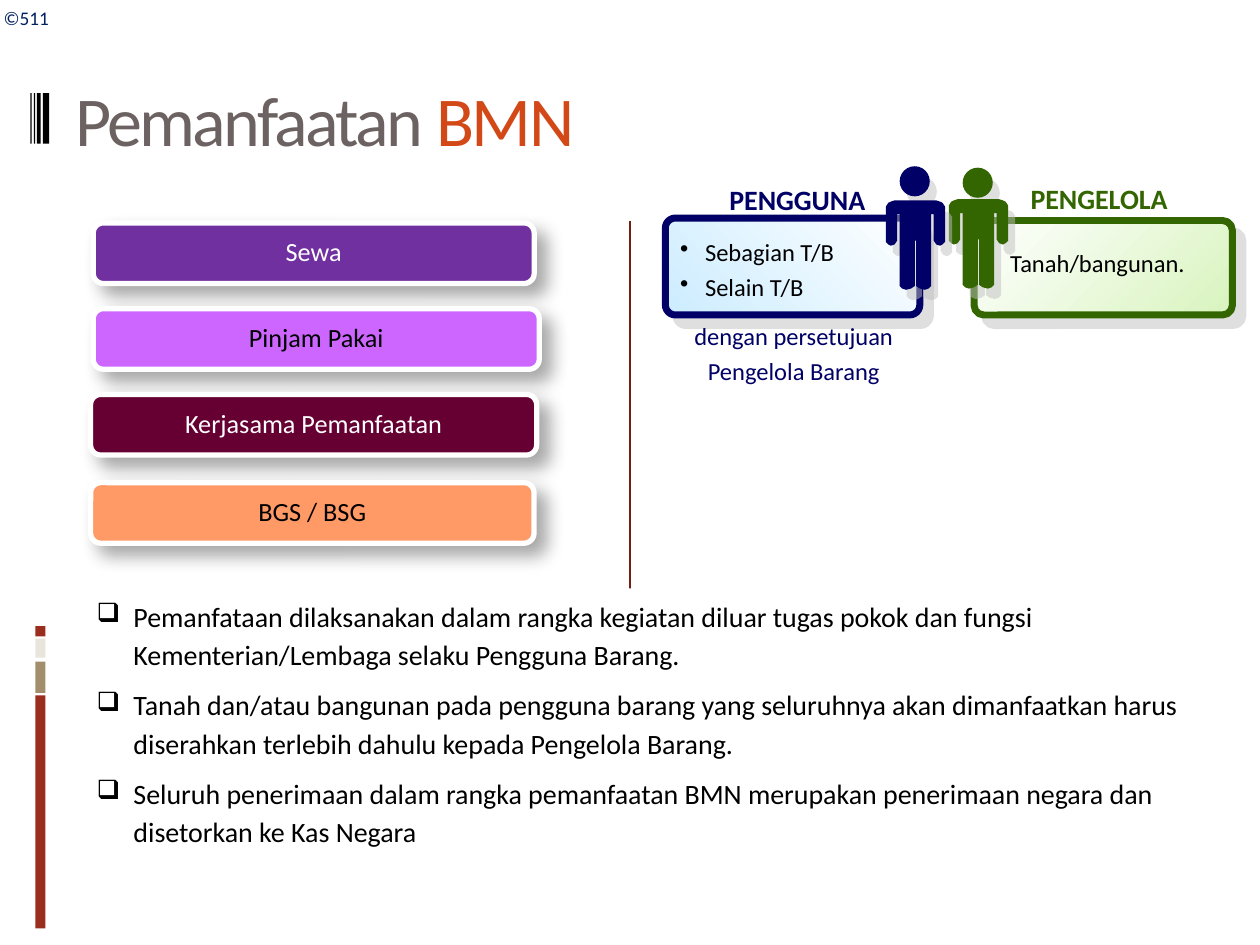
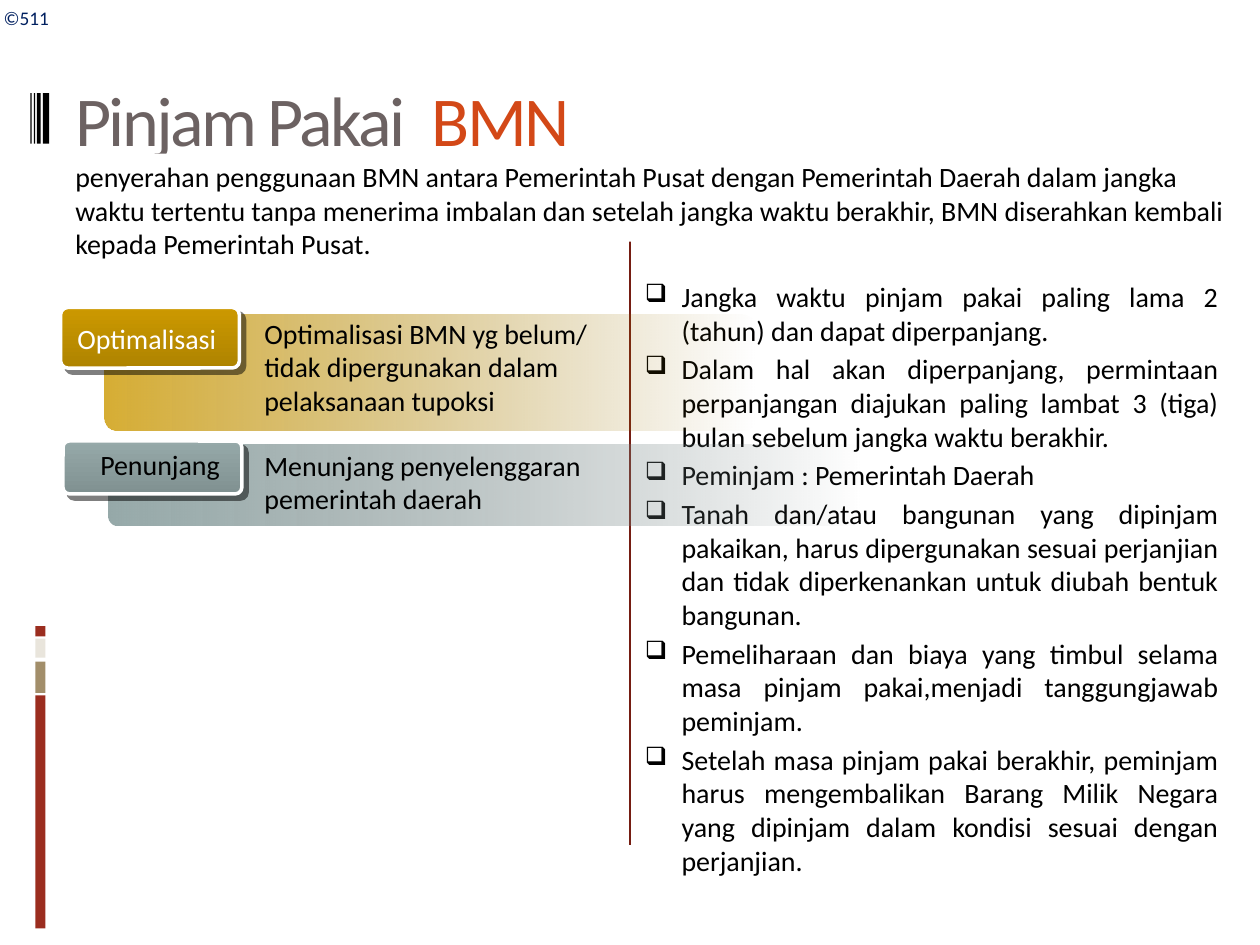
"""Build two slides on the use and lending of state property (BMN)."""
from lxml.etree import SubElement
from pptx import Presentation
from pptx.dml.color import RGBColor
from pptx.enum.shapes import MSO_CONNECTOR, MSO_SHAPE
from pptx.enum.text import MSO_ANCHOR, PP_ALIGN
from pptx.oxml.ns import qn
from pptx.util import Pt

FONT = "Calibri"
BLACK = RGBColor(0x00, 0x00, 0x00)
WHITE = RGBColor(0xFF, 0xFF, 0xFF)
TITLE_GREY = RGBColor(0x6C, 0x62, 0x62)
ORANGE = RGBColor(0xD3, 0x48, 0x17)
BRICK = RGBColor(0x9B, 0x2D, 0x1F)
TAN = RGBColor(0xA2, 0x8E, 0x6A)
CREAM = RGBColor(0xE9, 0xE5, 0xDC)
DIVIDER_RED = RGBColor(0x75, 0x1D, 0x12)
CODE_BLUE = RGBColor(0x00, 0x20, 0x60)
PURPLE = RGBColor(0x70, 0x30, 0xA0)
VIOLET = RGBColor(0xCC, 0x66, 0xFF)
MAROON = RGBColor(0x66, 0x00, 0x33)
PEACH = RGBColor(0xFF, 0x99, 0x66)
GREEN = RGBColor(0x33, 0x66, 0x00)
PALE_GREEN = RGBColor(0xD8, 0xF4, 0xBE)
NAVY = RGBColor(0x00, 0x00, 0x66)
PALE_BLUE = RGBColor(0xCC, 0xEC, 0xFF)
GOLD = RGBColor(0xCC, 0x99, 0x00)
MID_GOLD = RGBColor(0xAE, 0x83, 0x00)
DARK_GOLD = RGBColor(0x92, 0x6D, 0x00)
SLATE = RGBColor(0x96, 0xA9, 0xA9)
MID_SLATE = RGBColor(0x80, 0x91, 0x91)
DARK_SLATE = RGBColor(0x6B, 0x79, 0x79)
SHADOW_GREY = RGBColor(0xC0, 0xC0, 0xC0)

BUTTON_SHADOW = (BLACK, 35, 10.2, 8, 45)
PANEL_SHADOW = (SHADOW_GREY, 50, 0, 8.5, 45)
PERSON_SHADOW = (SHADOW_GREY, 50, 0, 7.2, 56)
TAG_SHADOW = (BLACK, 50, 0, 4.2, 45)


def paint(shape, *colors, angle=0, opacity=(), line=None, width=0, shadow=None, corner=None):
    """Fill, outline and shadow a shape; two colours make a gradient."""
    if corner:
        shape.adjustments[0] = corner
    if len(colors) == 1:
        shape.fill.solid()
        shape.fill.fore_color.rgb = colors[0]
    else:
        shape.fill.gradient()
        shape.fill.gradient_angle = (360 - angle) % 360
        for stop, color in zip(shape.fill.gradient_stops, colors):
            stop.color.rgb = color
        for tone, percent in zip(shape._element.spPr.iter(qn("a:srgbClr")), opacity):
            SubElement(tone, qn("a:alpha"), val=str(percent * 1000))
    if line is None:
        shape.line.fill.background()
    else:
        shape.line.color.rgb = line
        shape.line.width = Pt(width)
    shape.shadow.inherit = False
    if shadow:
        tint, percent, blur, distance, direction = shadow
        effects = shape._element.spPr.find(qn("a:effectLst"))
        outer = SubElement(effects, qn("a:outerShdw"), blurRad=str(Pt(blur)), dist=str(Pt(distance)),
                           dir=str(direction * 60000), algn="tl", rotWithShape="0")
        tone = SubElement(outer, qn("a:srgbClr"), val=str(tint))
        SubElement(tone, qn("a:alpha"), val=str(percent * 1000))
    return shape


def write(shape, paragraphs, size=16, colors=(BLACK,), align=PP_ALIGN.LEFT, anchor=MSO_ANCHOR.TOP, wrap=True,
          bold=False, tracking=None, bullet=None, bullet_size=100, indent=0, spacing=None, before=0, after=0):
    """Write paragraphs, each a tuple of runs, into a shape."""
    frame = shape.text_frame
    frame.word_wrap = wrap
    frame.vertical_anchor = anchor
    for number, runs in enumerate(paragraphs):
        paragraph = frame.add_paragraph() if number else frame.paragraphs[0]
        paragraph.alignment = align
        paragraph.space_before = Pt(before)
        paragraph.space_after = Pt(after)
        if spacing:
            paragraph.line_spacing = spacing
        properties = paragraph._p.get_or_add_pPr()
        properties.set("marL", str(Pt(indent)))
        properties.set("indent", str(-Pt(indent)))
        if bullet:
            SubElement(properties, qn("a:buSzPct"), val=str(bullet_size * 1000))
            SubElement(properties, qn("a:buChar"), char=bullet)
        for text, color in zip(runs, colors):
            run = paragraph.add_run()
            run.text = text
            run.font.name = FONT
            run.font.size = Pt(size)
            run.font.bold = bold
            run.font.color.rgb = color
            if tracking:
                run._r.get_or_add_rPr().set("spc", str(tracking))


deck = Presentation()
deck.slide_width = Pt(720)
deck.slide_height = Pt(540)

accents = [
    (20.2, 397.4, 5.8, 133.2, BRICK),
    (20.2, 378, 5.8, 18, TAN),
    (20.2, 365, 5.8, 10.8, CREAM),
    (20.2, 357.8, 5.8, 5.8, BRICK),
    (24.5, 53.3, 3.6, 28.8, BLACK),
    (21.1, 53.3, 2.2, 28.8, BLACK),
    (19.4, 53.3, 0.8, 28.8, BLACK),
    (17.4, 53.3, 0.8, 28.8, BLACK),
]
slides = []
for topic in ("Pemanfaatan ", "Pinjam Pakai  "):
    slide = deck.slides.add_slide(deck.slide_layouts[6])
    slides.append(slide)
    for *box, color in accents:
        paint(slide.shapes.add_shape(MSO_SHAPE.RECTANGLE, *map(Pt, box)), color)
    code = slide.shapes.add_textbox(Pt(-5), Pt(0), Pt(44), Pt(21))
    write(code, [("©511",)], 11, (CODE_BLUE,))
    divider = slide.shapes.add_connector(MSO_CONNECTOR.STRAIGHT, Pt(360), Pt(126), Pt(360), Pt(483))
    divider.line.color.rgb = DIVIDER_RED
    divider.line.width = Pt(0.75)
    SubElement(divider._element.spPr, qn("a:effectLst"))
    title = slide.shapes.add_textbox(Pt(36), Pt(16.6), Pt(648), Pt(102.2))
    write(title, [(topic, "BMN")], 40, (TITLE_GREY, ORANGE), anchor=MSO_ANCHOR.MIDDLE, tracking=-150)

usage, lending = slides

rules = [
    ("Pemanfataan dilaksanakan dalam rangka kegiatan diluar tugas pokok dan fungsi "
     "Kementerian/Lembaga selaku Pengguna Barang.",),
    ("Tanah dan/atau bangunan pada pengguna barang yang seluruhnya akan dimanfaatkan harus "
     "diserahkan terlebih dahulu kepada Pengelola Barang.",),
    ("Seluruh penerimaan dalam rangka pemanfaatan BMN merupakan penerimaan negara dan "
     "disetorkan ke Kas Negara",),
]
rules_box = usage.shapes.add_shape(MSO_SHAPE.RECTANGLE, Pt(48.2), Pt(336.2), Pt(653.8), Pt(174.2))
write(paint(rules_box, WHITE), rules, bullet="❑", bullet_size=95, indent=21, spacing=1.14, before=7)

schemes = [
    ("Sewa", PURPLE, WHITE, 53.3, 127.4, 252),
    ("Pinjam Pakai", VIOLET, BLACK, 53.3, 176.4, 254.9),
    ("Kerjasama Pemanfaatan", MAROON, WHITE, 51.8, 225.4, 254.9),
    ("BGS / BSG", PEACH, BLACK, 51.8, 275.8, 253.4),
]
for scheme, color, ink, left, top, width in schemes:
    button = usage.shapes.add_shape(MSO_SHAPE.ROUNDED_RECTANGLE, Pt(left), Pt(top), Pt(width), Pt(34.6))
    paint(button, color, line=WHITE, width=3, shadow=BUTTON_SHADOW)
    button.text_frame.margin_top = button.text_frame.margin_bottom = 0
    write(button, [(scheme,)], 15, (ink,), PP_ALIGN.CENTER, MSO_ANCHOR.MIDDLE, spacing=0.9)

half_body = [(7, 0), (4, 1), (2, 2), (0, 5), (0, 33), (2, 35), (4, 36), (7, 35), (9, 32), (9, 11), (11, 11),
             (11, 68), (13, 70), (16, 71), (20, 70), (23, 68), (23, 32)]
body_outline = half_body + [(47 - x, y) for x, y in reversed(half_body)]
roles = [
    ("PENGELOLA", GREEN, (WHITE, PALE_GREEN), 45, (556.6, 126, 147.6, 54), (542.2, 95.8, 113.8),
     (581.8, 100.1, 93.6, 26.6), [("Tanah/bangunan.",)], None, (570.2, 138.2, 126, 24.5)),
    ("PENGGUNA", NAVY, (PALE_BLUE, WHITE), 315, (380.2, 124.6, 145.4, 55.4), (506.2, 95, 114.5),
     (409.7, 100.8, 93.6, 26.6), [("Sebagian T/B",), ("Selain T/B",)], "•", (381.6, 131.8, 144, 43.9)),
]
for role, color, tones, angle, panel_box, person, label_box, assets, bullet, assets_box in roles:
    panel = usage.shapes.add_shape(MSO_SHAPE.ROUNDED_RECTANGLE, *map(Pt, panel_box))
    paint(panel, *tones, angle=angle, line=color, width=4, shadow=PANEL_SHADOW, corner=0.103)
    left, head_top, body_top = person
    head = usage.shapes.add_shape(MSO_SHAPE.OVAL, Pt(left + 7.9), Pt(head_top), Pt(17.2), Pt(17.2))
    paint(head, color, shadow=PERSON_SHADOW)
    builder = usage.shapes.build_freeform(*body_outline[0], scale=Pt(0.72))
    builder.add_line_segments(body_outline[1:])
    paint(builder.convert_to_shape(Pt(left), Pt(body_top)), color, shadow=PERSON_SHADOW)
    write(usage.shapes.add_textbox(*map(Pt, assets_box)), assets, 14, bullet=bullet, indent=14.2, after=3)
    write(usage.shapes.add_textbox(*map(Pt, label_box)), [(role,)], colors=(color,), wrap=False, bold=True)

approval = usage.shapes.add_textbox(Pt(388.8), Pt(180), Pt(129.6), Pt(43.9))
write(approval, [("dengan persetujuan",), ("Pengelola Barang",)], 14, (NAVY,), PP_ALIGN.CENTER,
      wrap=False, indent=13.5, after=3)

definition = lending.shapes.add_shape(MSO_SHAPE.RECTANGLE, Pt(36), Pt(87.8), Pt(671.8), Pt(50.4))
write(paint(definition, WHITE), [
    ("penyerahan penggunaan BMN antara Pemerintah Pusat dengan Pemerintah Daerah dalam jangka "
     "waktu tertentu tanpa menerima imbalan dan setelah jangka waktu berakhir, BMN diserahkan "
     "kembali kepada Pemerintah Pusat.",)], before=7)

terms = [
    ("Jangka waktu pinjam pakai paling lama 2 (tahun) dan dapat diperpanjang.",),
    ("Dalam hal akan diperpanjang, permintaan perpanjangan diajukan paling lambat 3 (tiga) "
     "bulan sebelum jangka waktu berakhir.",),
    ("Peminjam : Pemerintah Daerah",),
    ("Tanah dan/atau bangunan yang dipinjam pakaikan, harus dipergunakan sesuai perjanjian "
     "dan tidak diperkenankan untuk diubah bentuk bangunan.",),
    ("Pemeliharaan dan biaya yang timbul selama masa pinjam pakai,menjadi tanggungjawab peminjam.",),
    ("Setelah masa pinjam pakai berakhir, peminjam harus mengembalikan Barang Milik Negara "
     "yang dipinjam dalam kondisi sesuai dengan perjanjian.",),
]
terms_box = lending.shapes.add_textbox(Pt(361.4), Pt(156.2), Pt(342), Pt(374.4))
write(terms_box, terms, align=PP_ALIGN.JUSTIFY, bullet="❑", bullet_size=90, indent=21, before=3)

purposes = [
    ("Penunjang", BLACK, (SLATE, DARK_SLATE), (100, 0), (61.9, 254.2, 429.8, 46.1),
     (SLATE, MID_SLATE), (36, 252, 102.2, 30.2), (43.6, 252, 95.8, 26.6),
     "Menunjang penyelenggaran pemerintah daerah", (144, 252.7, 210.2, 46.1)),
    ("Optimalisasi", WHITE, (GOLD, DARK_GOLD), (80, 0), (59.8, 180, 372.2, 66.2),
     (GOLD, MID_GOLD), (34.6, 175.7, 102.2, 34.6), (36, 180, 95.8, 26.6),
     "Optimalisasi BMN yg belum/ tidak dipergunakan dalam pelaksanaan tupoksi", (144, 177.1, 228.2, 65.5)),
]
for purpose, ink, fade, opacity, strip_box, tones, tag_box, label_box, detail, detail_box in purposes:
    strip = lending.shapes.add_shape(MSO_SHAPE.ROUNDED_RECTANGLE, *map(Pt, strip_box))
    paint(strip, *fade, opacity=opacity, corner=0.115)
    tag = lending.shapes.add_shape(MSO_SHAPE.ROUNDED_RECTANGLE, *map(Pt, tag_box))
    paint(tag, *tones, angle=90, line=WHITE, width=2, shadow=TAG_SHADOW, corner=0.119)
    write(lending.shapes.add_textbox(*map(Pt, detail_box)), [(detail,)])
    write(lending.shapes.add_textbox(*map(Pt, label_box)), [(purpose,)], colors=(ink,), align=PP_ALIGN.CENTER)

deck.save("out.pptx")
